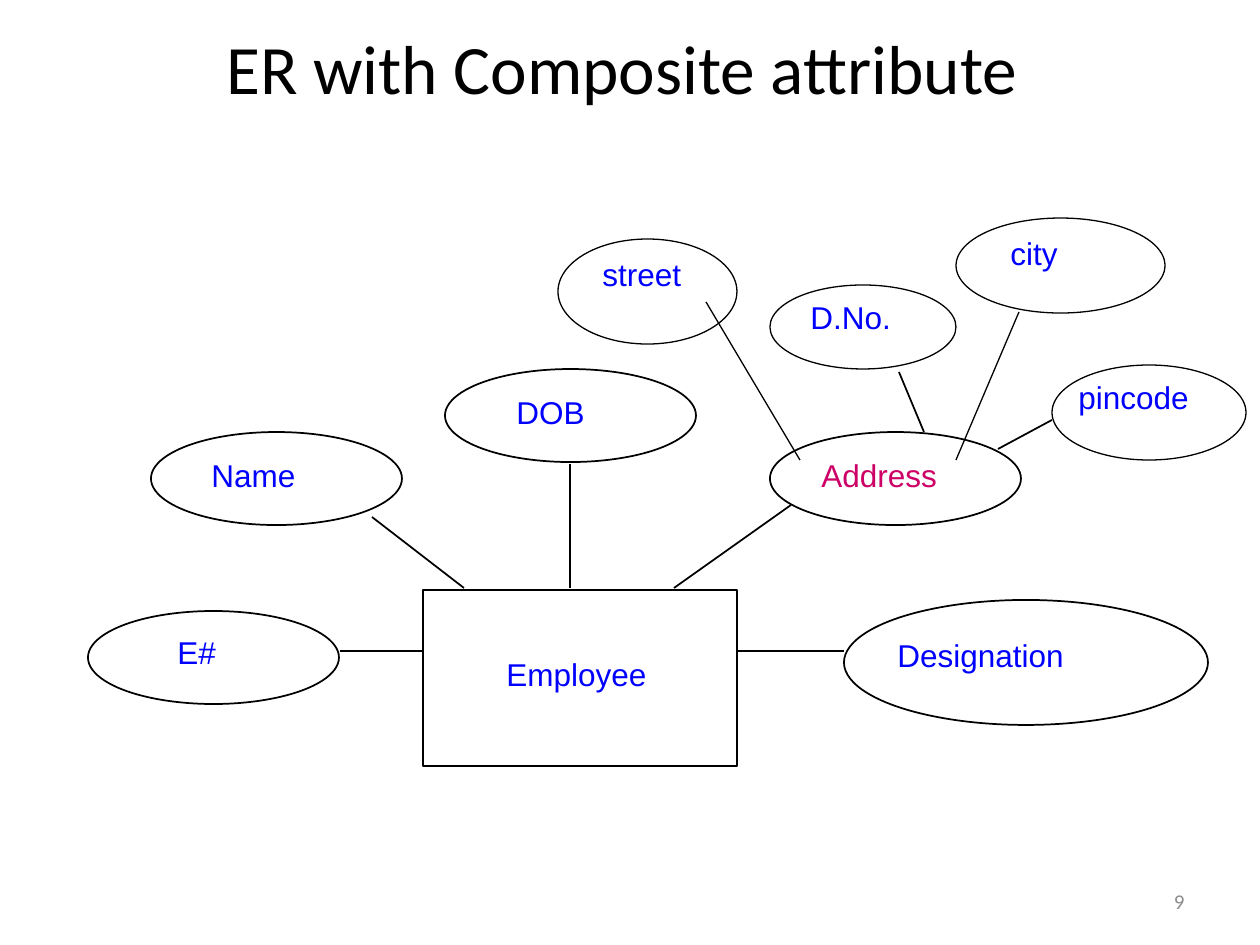
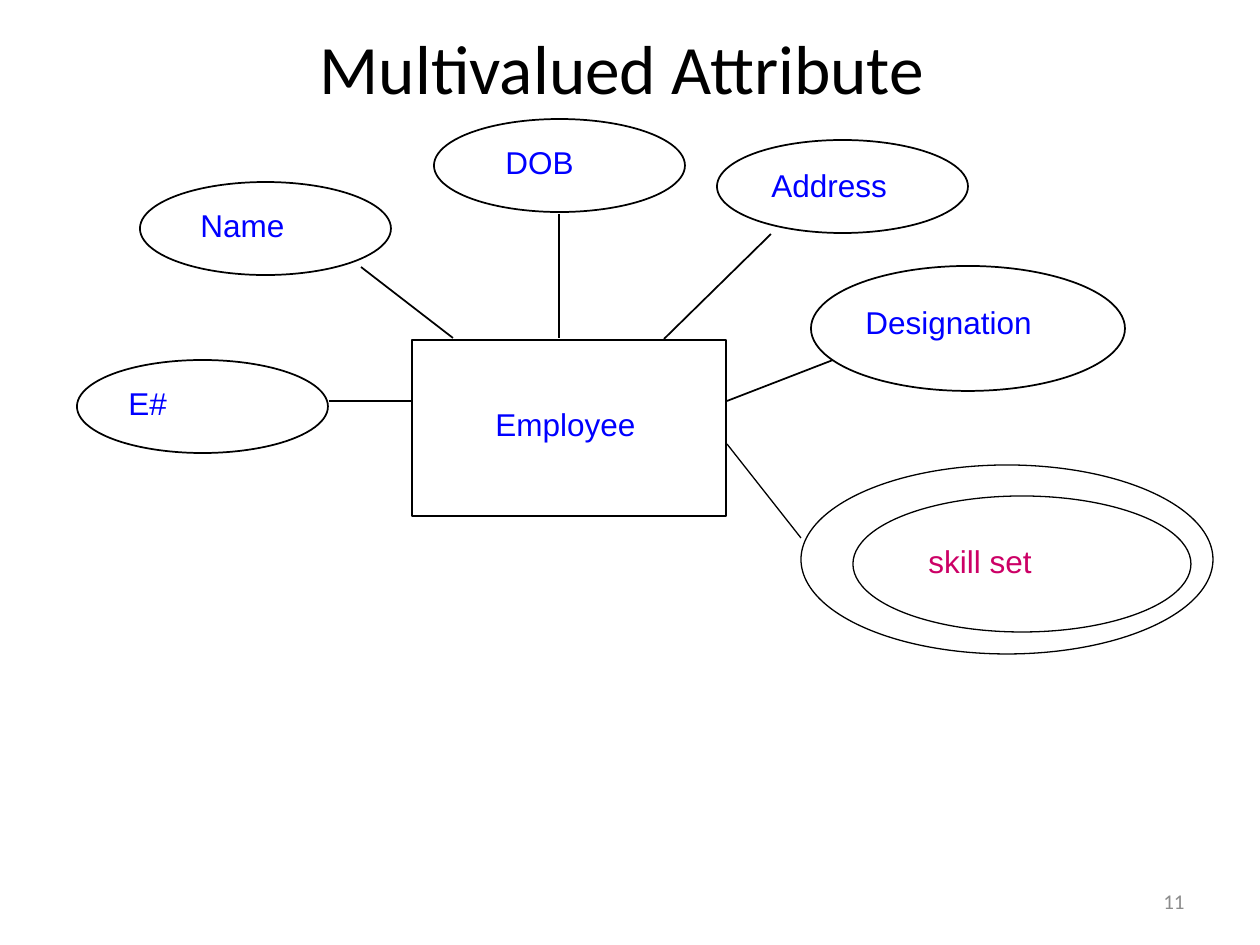
from lxml.etree import SubElement
from pptx import Presentation
from pptx.dml.color import RGBColor
from pptx.enum.shapes import MSO_CONNECTOR as Link, MSO_SHAPE as Kind
from pptx.enum.text import MSO_ANCHOR as Anchor, MSO_AUTO_SIZE as Fit, PP_ALIGN as Align
from pptx.oxml.ns import qn
from pptx.util import Pt

PX = 914400 / 126
BLACK, BLUE, PINK, GREY = "000000", "0000FF", "CC0066", "8C8C8C"
THIN, THICK = 0.75, 1
LABEL_H = 63
TITLE_BOX = (31, 31, 1182, 71)
PAGE_BOX = (903, 876, 294, 50)

# text, outline (left, top, width, height), label (left, top, width), colour, weight
ENTITY = ("Employee", (423, 590, 314, 176), (494, 649, 212), BLUE, THICK)
CORE = [
    ("Name", (151, 432, 251, 93), (199, 450, 137), BLUE, THICK),
    ("DOB", (445, 369, 251, 93), (504, 387, 116), BLUE, THICK),
]
CORE_LINKS = [
    ((340, 651), (422, 651), THICK),
    ((372, 517), (464, 588), THICK),
    ((570, 464), (570, 588), THICK),
]

SLIDES = [
    dict(
        title="ER with Composite attribute",
        page="9",
        shift=(0, 0),
        ovals=[
            ("E#", (88, 611, 251, 93), (165, 627, 77), BLUE, THICK),
            ("Designation", (844, 600, 364, 125), (885, 630, 281), BLUE, THICK),
            ("Address", (770, 432, 251, 93), (809, 450, 179), PINK, THICK),
            ("street", (558, 239, 179, 105), (590, 249, 147), BLUE, THIN),
            ("city", (956, 218, 209, 95), (998, 228, 199), BLUE, THIN),
            ("pincode", (1052, 365, 194, 95), (1066, 372, 194), BLUE, THIN),
            ("D.No.", (770, 285, 186, 84), (798, 292, 146), BLUE, THIN),
        ],
        links=[
            ((791, 505), (674, 588), THICK),
            ((844, 651), (737, 651), THICK),
            ((706, 302), (800, 460), THIN),
            ((1019, 312), (956, 460), THIN),
            ((998, 449), (1052, 420), THICK),
            ((924, 432), (899, 372), THICK),
        ],
    ),
    dict(
        title="Multivalued Attribute",
        page="11",
        shift=(-11, -250),
        ovals=[
            ("E#", (77, 360, 251, 93), (116, 378, 77), BLUE, THICK),
            ("Designation", (811, 266, 314, 125), (853, 297, 272), BLUE, THICK),
            ("Address", (717, 140, 251, 93), (759, 160, 179), BLUE, THICK),
            ("", (801, 465, 412, 189), None, BLUE, THIN),
            ("skill set", (853, 496, 338, 136), (916, 536, 210), PINK, THIN),
        ],
        links=[
            ((771, 234), (664, 339), THICK),
            ((833, 360), (727, 401), THICK),
            ((727, 444), (801, 538), THIN),
        ],
    ),
]


def emu(*nums):
    return [round(n * PX) for n in nums]


def paint(hue):
    return RGBColor.from_string(hue)


def move(spot, shift):
    return (spot[0] + shift[0], spot[1] + shift[1], *spot[2:])


def write(frame, text, size=18, face="Arial", hue=BLUE, align=Align.LEFT, anchor=Anchor.TOP):
    frame.word_wrap = True
    frame.auto_size = Fit.NONE
    frame.vertical_anchor = anchor
    para = frame.paragraphs[0]
    para.alignment = align
    run = para.add_run()
    run.text = text
    run.font.size = Pt(size)
    run.font.name = face
    run.font.color.rgb = paint(hue)


def add_text(slide, text, box, **style):
    write(slide.shapes.add_textbox(*emu(*box)).text_frame, text, **style)


def add_node(slide, node, kind=Kind.OVAL, shift=(0, 0)):
    text, box, label, hue, weight = node
    shape = slide.shapes.add_shape(kind, *emu(*move(box, shift)))
    shape.shadow.inherit = False
    shape.fill.background()
    shape.line.color.rgb = paint(BLACK)
    shape.line.width = Pt(weight)
    if text:
        add_text(slide, text, (*move(label, shift), LABEL_H), hue=hue)


def add_link(slide, link, shift=(0, 0)):
    start, end, weight = link
    ends = emu(*move(start, shift), *move(end, shift))
    line = slide.shapes.add_connector(Link.STRAIGHT, *ends)
    line.line.color.rgb = paint(BLACK)
    line.line.width = Pt(weight)
    SubElement(line._element.spPr, qn("a:effectLst"))


def add_title(slide, text):
    title = slide.shapes.title
    title.left, title.top, title.width, title.height = emu(*TITLE_BOX)
    write(title.text_frame, text, size=39.6, face="Calibri", hue=BLACK,
          align=Align.CENTER, anchor=Anchor.MIDDLE)


def build(deck, item):
    slide = deck.slides.add_slide(deck.slide_layouts[5])
    shift = item["shift"]
    add_title(slide, item["title"])
    add_node(slide, ENTITY, Kind.RECTANGLE, shift)
    for node in CORE:
        add_node(slide, node, shift=shift)
    for node in item["ovals"]:
        add_node(slide, node)
    for link in CORE_LINKS:
        add_link(slide, link, shift)
    for link in item["links"]:
        add_link(slide, link)
    add_text(slide, item["page"], PAGE_BOX, size=12, face="Calibri", hue=GREY,
             align=Align.RIGHT, anchor=Anchor.MIDDLE)


def main():
    deck = Presentation()
    deck.slide_width, deck.slide_height = emu(1260, 945)
    for item in SLIDES:
        build(deck, item)
    deck.save("out.pptx")


if __name__ == "__main__":
    main()
